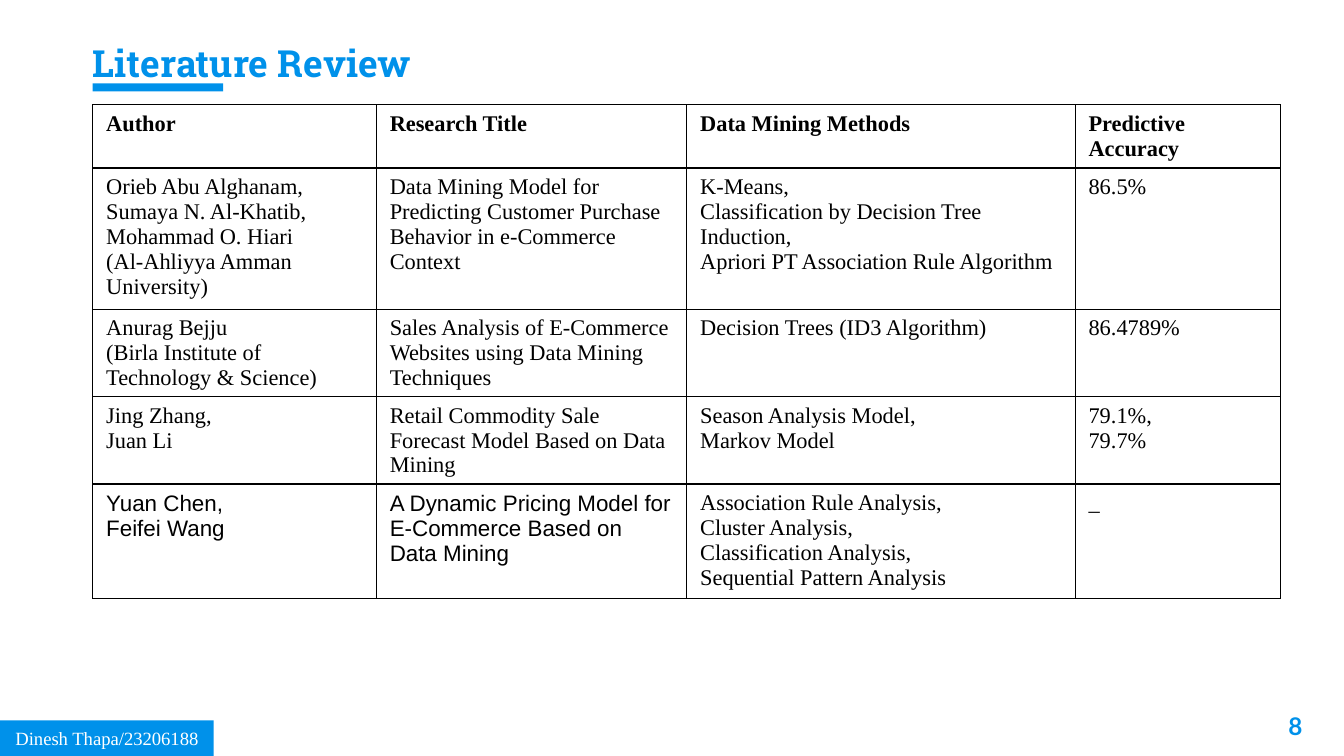
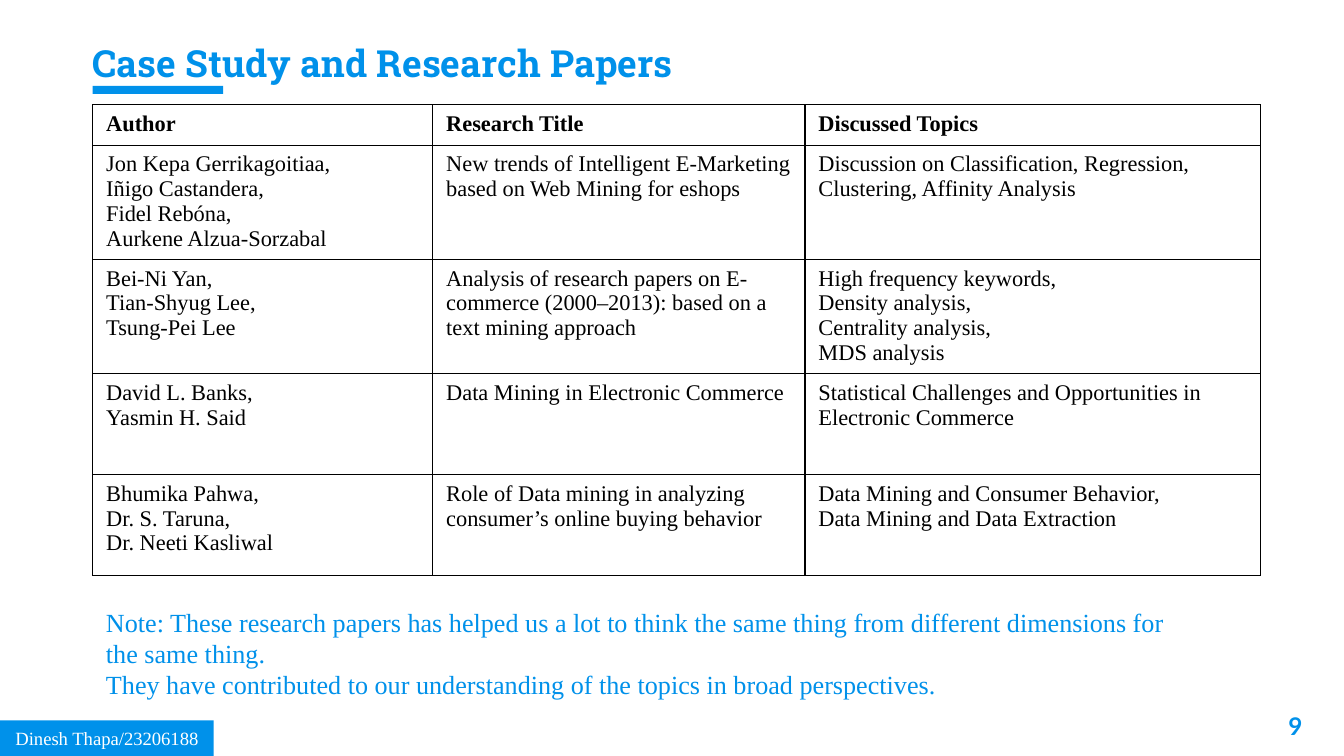
from lxml.etree import SubElement as SubEl
from pptx import Presentation
from pptx.dml.color import RGBColor
from pptx.enum.shapes import MSO_SHAPE as Shape
from pptx.enum.text import MSO_ANCHOR as Anchor, MSO_AUTO_SIZE as Fit, PP_ALIGN as Align
from pptx.oxml.ns import qn
from pptx.util import Inches, Pt

BLUE = RGBColor(0x00, 0x91, 0xEA)
BLACK = RGBColor(0, 0, 0)
WHITE = RGBColor(255, 255, 255)
SERIF, SANS, SLAB, LATO = "Times New Roman", "Arial", "Roboto Slab", "Lato"
LEFT = 0.69

REVIEW = [
    ["Author", "Research Title", "Data Mining Methods", "Predictive Accuracy"],
    ["Orieb Abu Alghanam,\nSumaya N. Al-Khatib,\nMohammad O. Hiari\n(Al-Ahliyya Amman University)",
     "Data Mining Model for Predicting Customer Purchase Behavior in e-Commerce Context",
     "K-Means,\nClassification by Decision Tree Induction,\nApriori PT Association Rule Algorithm",
     "86.5%"],
    ["Anurag Bejju\n(Birla Institute of Technology & Science)",
     "Sales Analysis of E-Commerce Websites using Data Mining Techniques",
     "Decision Trees (ID3 Algorithm)", "86.4789%"],
    ["Jing Zhang,\nJuan Li",
     "Retail Commodity Sale Forecast Model Based on Data Mining",
     "Season Analysis Model,\nMarkov Model", "79.1%,\n79.7%"],
    ["Yuan Chen,\nFeifei Wang",
     "A Dynamic Pricing Model for E-Commerce Based on Data Mining",
     "Association Rule Analysis,\nCluster Analysis,\nClassification Analysis,\nSequential Pattern Analysis",
     "_"],
]
PAPERS = [
    ["Author", "Research Title", "Discussed Topics"],
    ["Jon Kepa Gerrikagoitiaa,\nIñigo Castandera,\nFidel Rebóna,\nAurkene Alzua-Sorzabal",
     "New trends of Intelligent E-Marketing based on Web Mining for eshops",
     "Discussion on Classification, Regression, Clustering, Affinity Analysis"],
    ["Bei-Ni Yan,\nTian-Shyug Lee,\nTsung-Pei Lee",
     "Analysis of research papers on E-commerce (2000–2013): based on a text mining approach",
     "High frequency keywords,\nDensity analysis,\nCentrality analysis,\nMDS analysis"],
    ["David L. Banks,\nYasmin H. Said", "Data Mining in Electronic Commerce",
     "Statistical Challenges and Opportunities in Electronic Commerce"],
    ["Bhumika Pahwa,\nDr. S. Taruna,\nDr. Neeti Kasliwal",
     "Role of Data mining in analyzing consumer’s online buying behavior",
     "Data Mining and Consumer Behavior,\nData Mining and Data Extraction"],
]
NOTE = ("Note: These research papers has helped us a lot to think the same thing "
        "from different dimensions for the same thing.\n"
        "They have contributed to our understanding of the topics in broad perspectives.")


def write(frame, text, size, face, color, bold=False, align=Align.LEFT):
    for i, line in enumerate(text.split("\n")):
        para = frame.add_paragraph() if i else frame.paragraphs[0]
        para.alignment = align
        run = para.add_run()
        run.text = line
        font = run.font
        font.size, font.name, font.bold = Pt(size), face, bold
        font.color.rgb = color


def setup(frame, anchor):
    frame.word_wrap = True
    frame.auto_size = Fit.NONE
    frame.vertical_anchor = anchor
    frame.margin_left = frame.margin_right = Inches(0.1)
    frame.margin_top = frame.margin_bottom = Inches(0.1)


def add_box(slide, box, anchor=Anchor.TOP):
    frame = slide.shapes.add_textbox(*map(Inches, box)).text_frame
    setup(frame, anchor)
    return frame


def add_bar(slide, box):
    bar = slide.shapes.add_shape(Shape.RECTANGLE, *map(Inches, box))
    bar.shadow.inherit = False
    bar.fill.solid()
    bar.fill.fore_color.rgb = BLUE
    bar.line.fill.background()
    return bar


def add_title(slide, text, box, rule_top):
    title = slide.shapes.title
    title.left, title.top, title.width, title.height = map(Inches, box)
    setup(title.text_frame, Anchor.BOTTOM)
    write(title.text_frame, text, 20, SLAB, BLUE, True)
    add_bar(slide, (LEFT, rule_top, 0.97, 0.06))


def add_footer(slide, number):
    write(add_box(slide, (9.19, 5.19, 0.6, 0.43)), str(number), 13, LATO, BLUE, True, Align.RIGHT)
    frame = add_bar(slide, (0, 5.36, 1.59, 0.27)).text_frame
    frame.word_wrap = False
    frame.auto_size = Fit.SHAPE_TO_FIT_TEXT
    write(frame, "Dinesh Thapa/23206188", 10, SERIF, WHITE, align=Align.CENTER)


def add_edges(cell):
    props = cell._tc.get_or_add_tcPr()
    for side in ("lnL", "lnR", "lnT", "lnB"):
        edge = SubEl(props, qn(f"a:{side}"), w=str(Pt(0.75)))
        fill = SubEl(edge, qn("a:solidFill"))
        SubEl(fill, qn("a:srgbClr"), val=str(BLACK))


def add_grid(slide, rows, top, widths, heights, sans=()):
    box = (LEFT, top, sum(widths), sum(heights))
    grid = slide.shapes.add_table(len(rows), len(widths), *map(Inches, box)).table
    grid.first_row = grid.horz_banding = False
    for col, width in zip(grid.columns, widths):
        col.width = Inches(width)
    for r, (row, height) in enumerate(zip(rows, heights)):
        grid.rows[r].height = Inches(height)
        for c, text in enumerate(row):
            cell = grid.cell(r, c)
            cell.margin_bottom = 0
            add_edges(cell)
            cell.fill.background()
            face = SANS if (r, c) in sans else SERIF
            write(cell.text_frame, text, 12, face, BLACK, r == 0)


def add_page(deck, number, title, rule_top):
    slide = deck.slides.add_slide(deck.slide_layouts[5])
    slide.background.fill.solid()
    slide.background.fill.fore_color.rgb = WHITE
    add_title(slide, title, (0.59, 0.31, 8.28, 0.42), rule_top)
    add_footer(slide, number)
    return slide


def main():
    deck = Presentation()
    deck.slide_width = Inches(10)
    deck.slide_height = deck.slide_width * 9 // 16

    review = add_page(deck, 8, "Literature Review", 0.62)
    add_grid(review, REVIEW, 0.78, (2.11, 2.31, 2.89, 1.53),
             (0.47, 1.03, 0.65, 0.65, 0.84), {(4, 0), (4, 1)})

    papers = add_page(deck, 9, "Case Study and Research Papers", 0.64)
    add_grid(papers, PAPERS, 0.78, (2.53, 2.77, 3.39), (0.3, 0.84, 0.84, 0.75, 0.75))
    note = add_box(papers, (LEFT, 4.39, 8.28, 0.92), Anchor.BOTTOM)
    write(note, NOTE, 14, SERIF, BLUE)

    deck.save("out.pptx")


if __name__ == "__main__":
    main()
